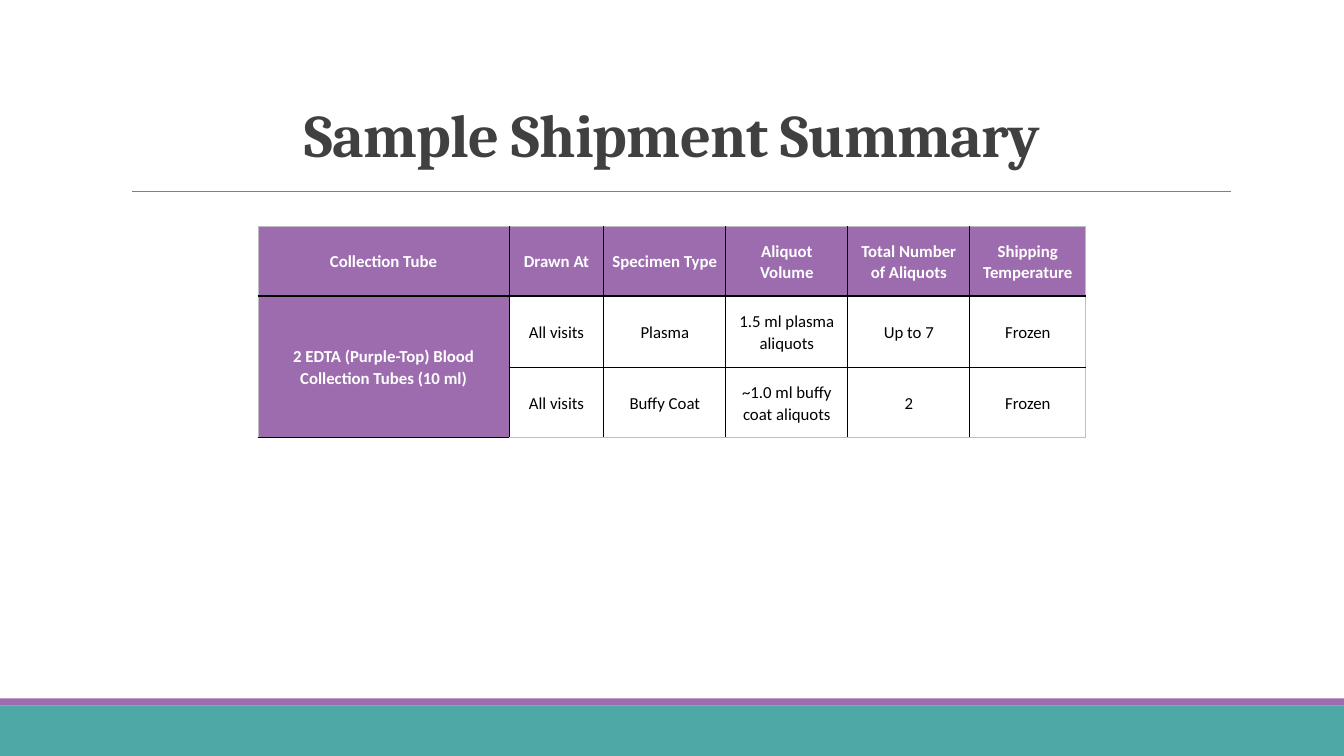
from lxml import etree
from pptx import Presentation
from pptx import util as u
from pptx.dml.color import RGBColor
from pptx.enum import shapes, text
from pptx.oxml import ns

WIDTH, HEIGHT = 13.33, 7.5
TEAL, PURPLE, GREY = "4EA8A5", "9D6CAF", "808080"
DARK, BLACK, WHITE, PALE = "404040", "000000", "FFFFFF", "BFBFBF"

COLUMNS = [2.49, 0.94, 1.21, 1.21, 1.21, 1.15]
ROWS = [0.69, 0.71, 0.69]
SAMPLES = [
    ["Collection Tube", "Drawn At", "Specimen Type", "Aliquot Volume",
     "Total Number of Aliquots", "Shipping Temperature"],
    ["2 EDTA (Purple-Top) Blood Collection Tubes (10 ml)", "All visits",
     "Plasma", "1.5 ml plasma aliquots", "Up to 7", "Frozen"],
    ["", "All visits", "Buffy Coat", "~1.0 ml buffy coat aliquots", "2",
     "Frozen"],
]


def rgb(value):
    return RGBColor.from_string(value)


def inches(*lengths):
    return [u.Inches(length) for length in lengths]


def add_run(p, words, font, size, color, bold):
    r = p.add_run()
    r.text = words
    r.font.name = font
    r.font.size = u.Pt(size)
    r.font.bold = bold
    r.font.color.rgb = rgb(color)
    return r


def add_band(s, box, color):
    sp = s.shapes.add_shape(shapes.MSO_SHAPE.RECTANGLE, *inches(*box))
    sp.shadow.inherit = False
    sp.fill.solid()
    sp.fill.fore_color.rgb = rgb(color)
    sp.line.fill.background()


def add_footer(s, left, top, width, height):
    stripe = 0.07
    add_band(s, (left, top + stripe, width, height - stripe), TEAL)
    add_band(s, (left, top, width, stripe), PURPLE)


def add_heading(s, left, top, width, height):
    rule_y = top + height
    rule = s.shapes.add_connector(
        shapes.MSO_CONNECTOR.STRAIGHT,
        *inches(left, rule_y, left + width, rule_y))
    rule.line.color.rgb = rgb(GREY)
    rule.line.width = u.Pt(0.5)
    etree.SubElement(rule._element.spPr, ns.qn("a:effectLst"))

    title = s.shapes.title
    title.left, title.top, title.width, title.height = inches(
        left + 0.87, top, 8.97, height - 0.16)
    tf = title.text_frame
    tf.word_wrap = True
    tf.auto_size = text.MSO_AUTO_SIZE.NONE
    tf.vertical_anchor = text.MSO_ANCHOR.BOTTOM
    p = tf.paragraphs[0]
    p.alignment = text.PP_ALIGN.CENTER
    p.line_spacing = 0.85
    r = add_run(p, "Sample Shipment Summary", "Cambria", 43.2, DARK, True)
    r.font._element.set("spc", "-50")


def set_borders(cell, row, col):
    last_row, last_col = len(ROWS) - 1, len(COLUMNS) - 1
    edges = [
        ("lnL", PALE if col == 0 else BLACK, 1),
        ("lnR", PALE if col == last_col else BLACK, 1),
        ("lnT", PALE if row == 0 else BLACK, 1.5 if row == 1 else 1),
        ("lnB", PALE if row == last_row else BLACK, 1.5 if row == 0 else 1),
    ]
    tcPr = cell._tc.get_or_add_tcPr()
    for place, (edge, color, width) in enumerate(edges):
        ln = etree.Element(ns.qn(f"a:{edge}"), w=str(u.Pt(width)))
        fill = etree.SubElement(ln, ns.qn("a:solidFill"))
        etree.SubElement(fill, ns.qn("a:srgbClr"), val=color)
        tcPr.insert(place, ln)


def fill_cell(cell, words, heading):
    cell.margin_left = cell.margin_right = u.Inches(0.07)
    cell.margin_top = cell.margin_bottom = 0
    cell.vertical_anchor = text.MSO_ANCHOR.MIDDLE
    if heading:
        cell.fill.solid()
        cell.fill.fore_color.rgb = rgb(PURPLE)
    else:
        cell.fill.background()
    p = cell.text_frame.paragraphs[0]
    p.alignment = text.PP_ALIGN.CENTER
    p.line_spacing = 1.07
    if words:
        add_run(p, words, "Calibri", 12, WHITE if heading else BLACK, heading)


def add_samples(s, left, top):
    table = s.shapes.add_table(
        len(ROWS), len(COLUMNS),
        *inches(left, top, sum(COLUMNS), sum(ROWS))).table
    table.first_row = table.horz_banding = False
    for column, width in zip(table.columns, COLUMNS):
        column.width = u.Inches(width)
    for row, height in zip(table.rows, ROWS):
        row.height = u.Inches(height)
    for i, record in enumerate(SAMPLES):
        for j, words in enumerate(record):
            cell = table.cell(i, j)
            fill_cell(cell, words, i == 0 or j == 0)
            set_borders(cell, i, j)
    table.cell(1, 0).merge(table.cell(2, 0))


def main():
    prs = Presentation()
    prs.slide_width, prs.slide_height = inches(WIDTH, HEIGHT)
    s = prs.slides.add_slide(prs.slide_layouts[5])
    add_footer(s, 0, 6.93, WIDTH, HEIGHT - 6.93)
    add_heading(s, 1.31, 0.7, 10.9, 1.2)
    add_samples(s, 2.56, 2.25)
    prs.save("out.pptx")


if __name__ == "__main__":
    main()
